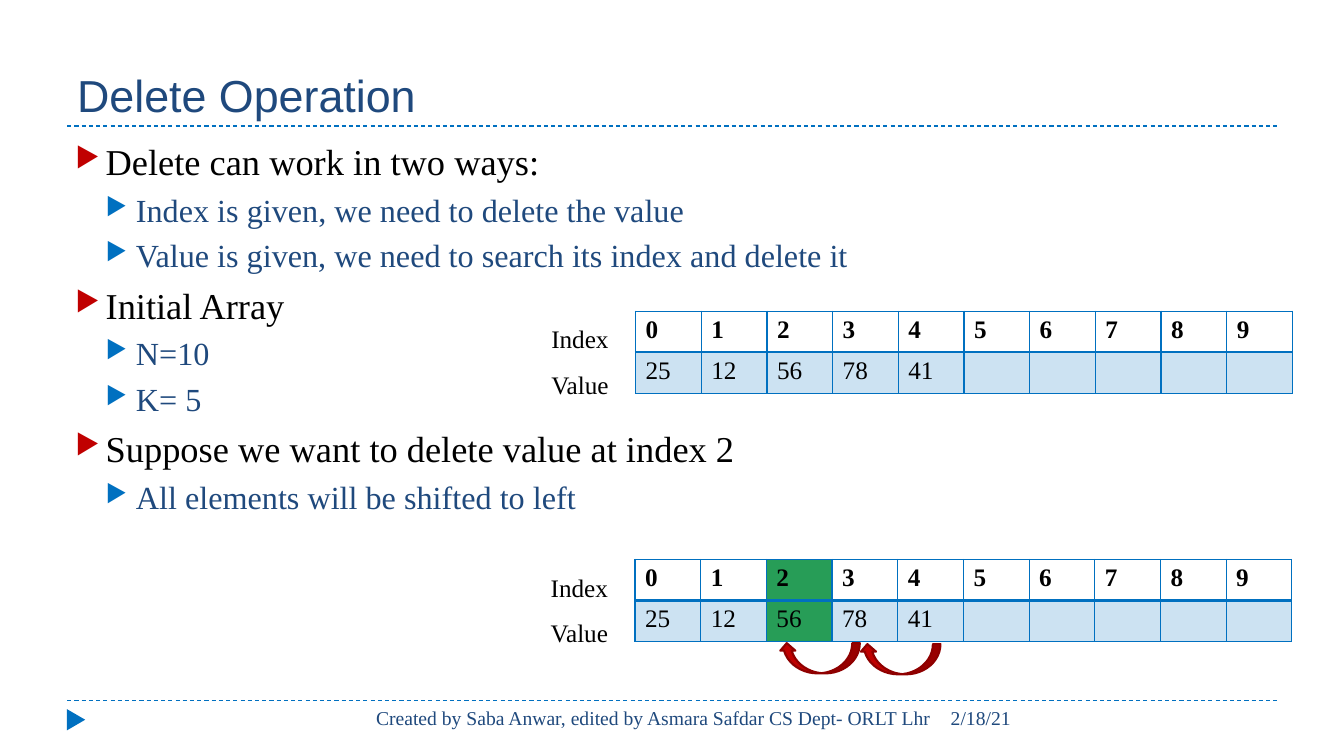
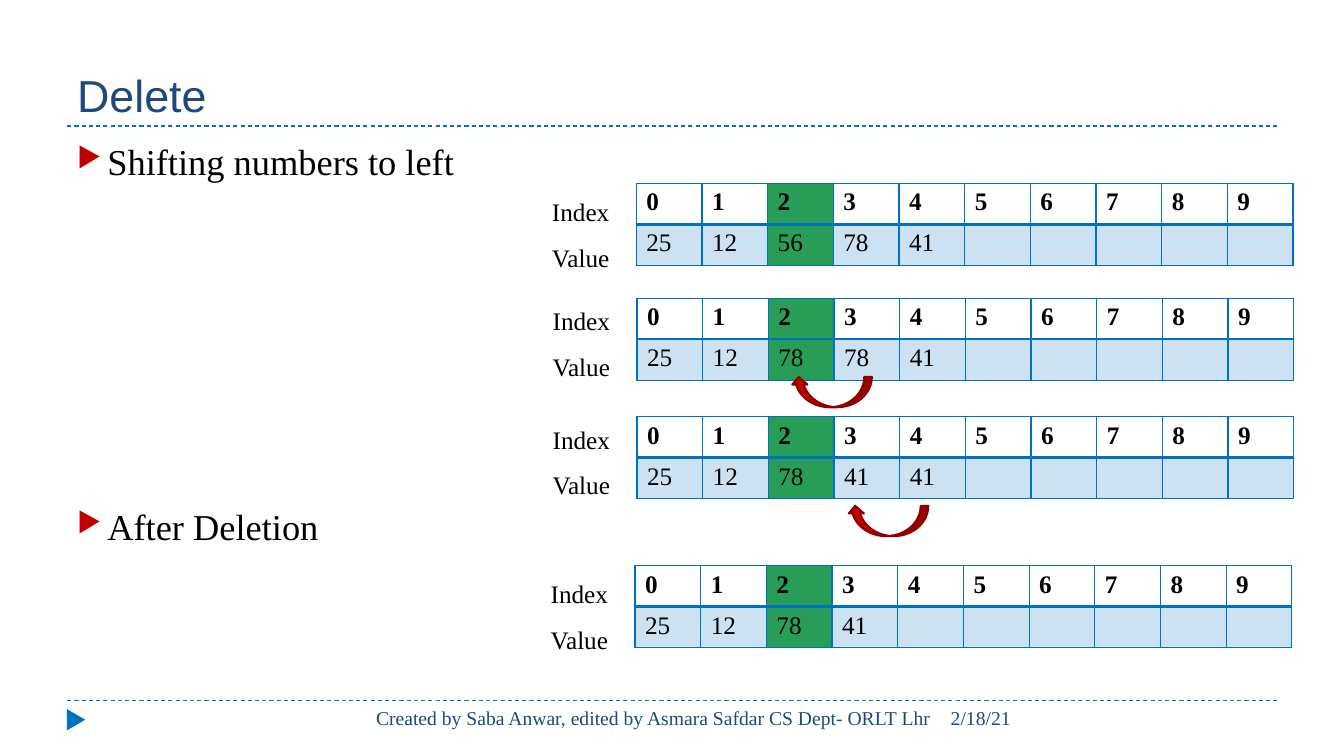
from lxml import etree
from pptx import Presentation
from pptx.dml.color import RGBColor
from pptx.enum.dml import MSO_LINE
from pptx.enum.shapes import MSO_CONNECTOR, MSO_SHAPE
from pptx.enum.text import MSO_ANCHOR, PP_ALIGN
from pptx.oxml.ns import qn
from pptx.util import Pt

DASH = MSO_LINE.DASH
LINE = MSO_CONNECTOR.STRAIGHT
CURVE = MSO_SHAPE.CURVED_UP_ARROW
WEDGE = MSO_SHAPE.ISOSCELES_TRIANGLE
TOP, BOTTOM = MSO_ANCHOR.TOP, MSO_ANCHOR.BOTTOM
LEFT, RIGHT = PP_ALIGN.LEFT, PP_ALIGN.RIGHT

BLUE = RGBColor(0x00, 0x70, 0xC0)
NAVY = RGBColor(0x1F, 0x49, 0x7D)
RED = RGBColor(0xC0, 0x00, 0x00)
DARK = RGBColor(0x8E, 0x00, 0x00)
GREEN = RGBColor(0x27, 0x9D, 0x57)
BLACK = RGBColor(0x00, 0x00, 0x00)

SERIF, SANS = "Times New Roman", "Arial"
LEVELS = ((26, BLACK, RED, 6), (23, NAVY, BLUE, 5))
COUNT = 10
CELL_W, CELL_H = 46.94, 29.3
CREDIT = "Created by Saba Anwar, edited by Asmara Safdar CS Dept- ORLT Lhr"


def style(para, size, color, face=SERIF, bold=False):
    font = para.font
    font.size, font.name, font.bold = Pt(size), face, bold
    font.color.rgb = color


def add_text(slide, box, lines, size, color, face=SERIF, anchor=TOP,
             align=LEFT, space=1.0):
    frame = slide.shapes.add_textbox(*map(Pt, box)).text_frame
    frame.word_wrap = True
    frame.vertical_anchor = anchor
    frame.text = "\n".join(lines)
    for para in frame.paragraphs:
        para.alignment = align
        para.line_spacing = space
        style(para, size, color, face)


def add_rule(slide, left, top, width):
    rule = slide.shapes.add_connector(
        LINE, Pt(left), Pt(top), Pt(left + width), Pt(top))
    rule.line.color.rgb = BLUE
    rule.line.width = Pt(0.75)
    rule.line.dash_style = DASH
    etree.SubElement(rule._element.spPr, qn("a:effectLst"))


def add_frame(slide, title):
    for top in (90, 500.4):
        add_rule(slide, 48, top, 864)
    wedge = slide.shapes.add_shape(WEDGE, Pt(46.8), Pt(507.6), Pt(15.1), Pt(13))
    wedge.rotation = 90
    wedge.shadow.inherit = False
    wedge.fill.solid()
    wedge.fill.fore_color.rgb = BLUE
    wedge.line.fill.background()
    add_text(slide, (48, 12, 864, 78), [title], 32, NAVY, SANS, BOTTOM)
    add_text(slide, (672, 500.4, 240, 29), ["2/18/21"], 14, NAVY)
    add_text(slide, (211, 500.4, 461, 29), [CREDIT], 14, NAVY, align=RIGHT)


def add_bullet(para, color, level):
    props = para._p.get_or_add_pPr()
    props.set("marL", str(Pt(21.6 * (level + 1))))
    props.set("indent", str(-Pt(21.6)))
    tint = etree.Element(qn("a:buClr"))
    etree.SubElement(tint, qn("a:srgbClr"), val=str(color))
    size = etree.Element(qn("a:buSzPct"), val="76000")
    mark = etree.Element(qn("a:buChar"), char="▶")
    spot = props.index(props.find(qn("a:defRPr")))
    props[spot:spot] = [tint, size, mark]


def add_body(slide, left, items):
    box = slide.shapes.add_textbox(Pt(left), Pt(96), Pt(864), Pt(389))
    frame = box.text_frame
    frame.word_wrap = True
    frame.text = "\n".join(text for level, text, gap in items)
    for para, (level, text, gap) in zip(frame.paragraphs, items):
        size, color, tint, before = LEVELS[level]
        para.level = level
        para.line_spacing = Pt(size * 1.2)
        para.space_before = Pt(before + gap)
        style(para, size, color)
        add_bullet(para, tint, level)


def add_edges(cell, base):
    props = cell._tc.get_or_add_tcPr()
    for side, width in zip("LRTB", (1, 1, 1, base)):
        edge = etree.SubElement(props, qn("a:ln" + side), w=str(Pt(width)))
        fill = etree.SubElement(edge, qn("a:solidFill"))
        etree.SubElement(fill, qn("a:srgbClr"), val=str(BLUE))


def fill_cell(cell, head, marked):
    if head and not marked:
        cell.fill.background()
        return
    cell.fill.solid()
    cell.fill.fore_color.rgb = GREEN if marked else BLUE
    if not marked:
        color = cell._tc.tcPr.find(qn("a:solidFill"))[0]
        etree.SubElement(color, qn("a:alpha"), val="20000")


def add_array(slide, left, top, values, mark=None, lift=5.5):
    table = slide.shapes.add_table(
        2, COUNT, Pt(left), Pt(top), Pt(CELL_W * COUNT), Pt(CELL_H * 2)).table
    table.first_row = table.horz_banding = False
    for col in table.columns:
        col.width = Pt(CELL_W)
    rows = (range(COUNT), values + [""] * (COUNT - len(values)))
    for row, texts in enumerate(rows):
        table.rows[row].height = Pt(CELL_H)
        head = row == 0
        for col, text in enumerate(texts):
            cell = table.cell(row, col)
            cell.text = str(text)
            style(cell.text_frame.paragraphs[0], 18, BLACK, bold=head)
            add_edges(cell, 2 if head else 1)
            fill_cell(cell, head, col == mark)
    add_text(slide, (left - 67.3, top - lift, 67, 73), ["Index", "Value"],
             18, BLACK, space=1.5)


def add_arrow(slide, left, top):
    arrow = slide.shapes.add_shape(
        CURVE, Pt(left), Pt(top), Pt(57.6), Pt(21.6))
    arrow._element.spPr.find(qn("a:xfrm")).set("flipH", "1")
    arrow.shadow.inherit = False
    arrow.fill.solid()
    arrow.fill.fore_color.rgb = RED
    arrow.line.color.rgb = DARK
    arrow.line.width = Pt(1.5)


def build_ways(slide):
    add_frame(slide, "Delete Operation")
    add_body(slide, 46.8, (
        (0, "Delete can work in two ways:", 0),
        (1, "Index is given, we need to delete the value", 0),
        (1, "Value is given, we need to search its index and delete it", 0),
        (0, "Initial Array", 0),
        (1, "N=10", 0),
        (1, "K= 5", 0),
        (0, "Suppose we want to delete value at index 2", 0),
        (1, "All elements will be shifted to left", 0),
    ))
    start = [25, 12, 56, 78, 41]
    add_array(slide, 453.6, 399.6, start, 2)
    add_array(slide, 454, 222.3, start)
    add_arrow(slide, 614.2, 460.1)
    add_arrow(slide, 556.6, 459.4)


def build_shift(slide):
    add_frame(slide, "Delete")
    add_body(slide, 48, (
        (0, "Shifting numbers to left", 0),
        (0, "After Deletion", 223.2),
    ))
    for left, top, values, lift in (
        (454.5, 131, [25, 12, 56, 78, 41], 5),
        (455, 213, [25, 12, 78, 78, 41], 9),
        (455, 297.6, [25, 12, 78, 41, 41], 9),
        (453.6, 404, [25, 12, 78, 41], 5),
    ):
        add_array(slide, left, top, values, 2, lift)
    add_arrow(slide, 565.2, 269.3)
    add_arrow(slide, 605.5, 361.4)


def main():
    deck = Presentation()
    deck.slide_width, deck.slide_height = Pt(960), Pt(540)
    for build in (build_ways, build_shift):
        build(deck.slides.add_slide(deck.slide_layouts[6]))
    deck.save("out.pptx")


if __name__ == "__main__":
    main()
